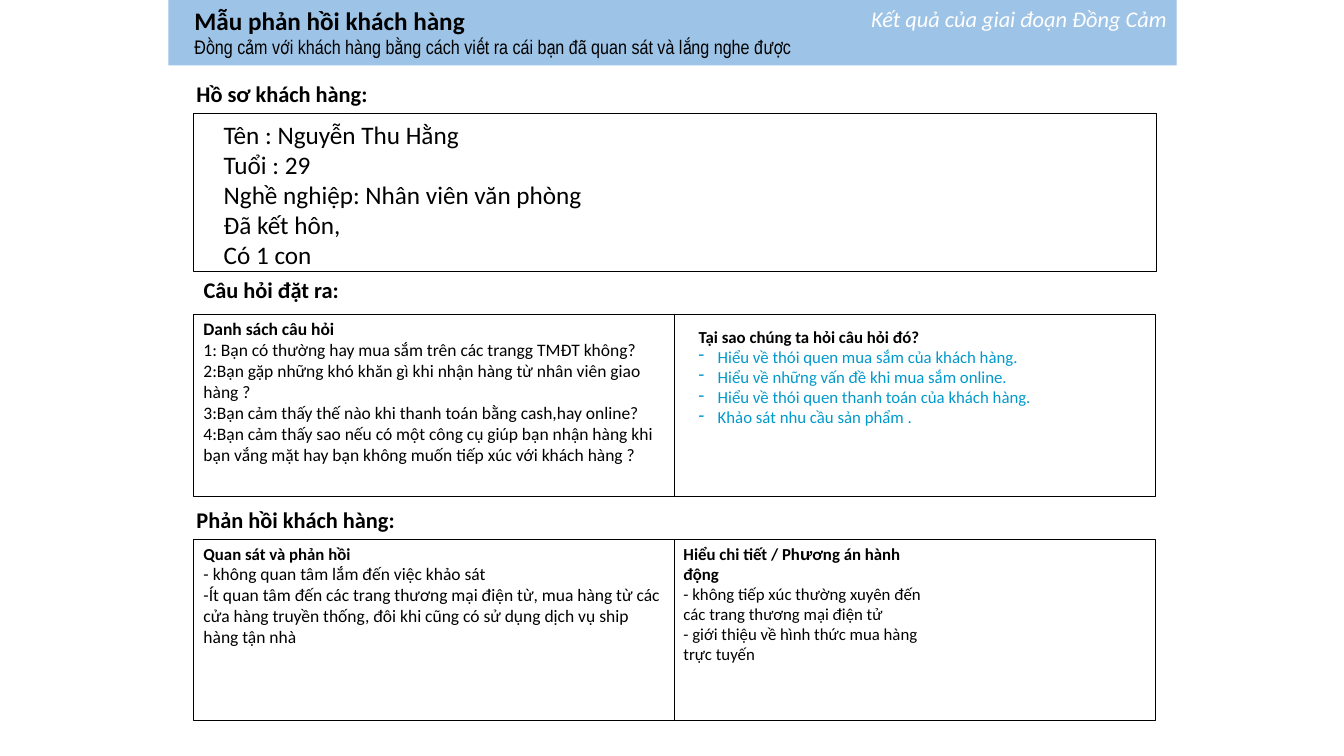
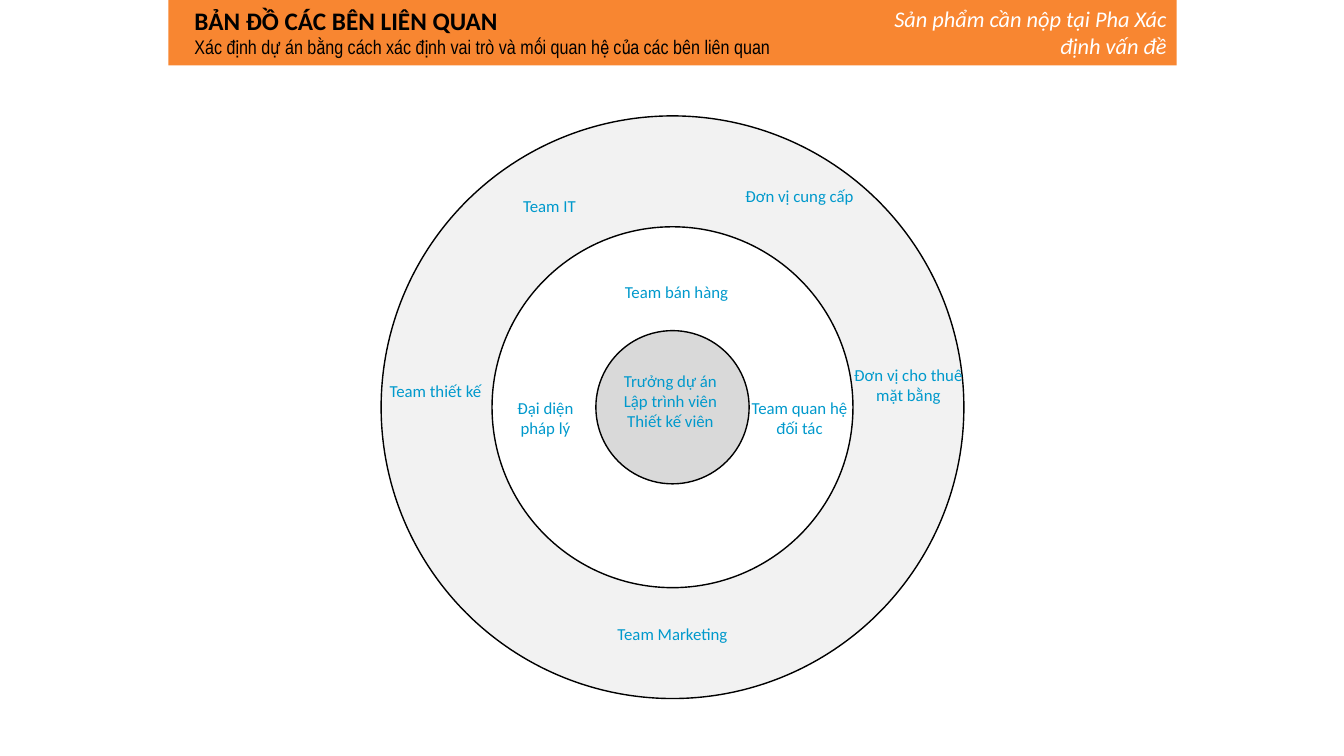
from dataclasses import dataclass

import pptx
import pptx.util
import pptx.dml.color
import pptx.enum.shapes
import pptx.enum.text
import pptx.oxml.ns
from lxml import etree

Inches = pptx.util.Inches
SHAPE = pptx.enum.shapes.MSO_SHAPE
ALIGN = pptx.enum.text.PP_ALIGN


@dataclass(frozen=True)
class Theme:
    font: str = "Calibri"
    narrow_font: str = "Arial Narrow"
    accent_font: str = "Arial"
    ink: str = "000000"
    white: str = "FFFFFF"
    answer: str = "0099CC"
    blue_band: str = "9DC3E6"
    orange_band: str = "F88631"
    outer_ring: str = "F2F2F2"
    core: str = "D9D9D9"
    title: float = 18
    heading: float = 16
    subtitle: float = 14
    body: float = 12.5
    small: float = 12


THEME = Theme()


def rgb(value):
    return pptx.dml.color.RGBColor.from_string(value)


def add_dash(paragraph, indent=0.19):
    """Hang the paragraph behind a dash."""
    properties = paragraph._p.get_or_add_pPr()
    properties.set("marL", str(Inches(indent)))
    properties.set("indent", str(-Inches(indent)))
    dash = etree.SubElement(properties, pptx.oxml.ns.qn("a:buChar"))
    dash.set("char", "-")


def add_text(slide, box, paragraphs, align=ALIGN.LEFT, **defaults):
    """Write paragraphs; each is a string or (string or run list, format)."""
    frame = slide.shapes.add_textbox(*map(Inches, box)).text_frame
    frame.word_wrap = True
    for index, item in enumerate(paragraphs):
        content, own = (item, {}) if isinstance(item, str) else item
        style = {"size": THEME.small, "color": THEME.ink, "font": THEME.font,
                 **defaults, **own}
        paragraph = frame.add_paragraph() if index else frame.paragraphs[0]
        paragraph.alignment = align
        if style.get("dash"):
            add_dash(paragraph)
        runs = [(content, style["font"])] if isinstance(content, str) else content
        for words, font_name in runs:
            run = paragraph.add_run()
            run.text = words
            run.font.name = font_name
            run.font.size = pptx.util.Pt(style["size"])
            run.font.bold = style.get("bold", False)
            run.font.italic = style.get("italic", False)
            run.font.color.rgb = rgb(style["color"])


def add_figure(slide, kind, box, fill=None, line_width=None):
    figure = slide.shapes.add_shape(kind, *map(Inches, box))
    figure.shadow.inherit = False
    if fill:
        figure.fill.solid()
        figure.fill.fore_color.rgb = rgb(fill)
    else:
        figure.fill.background()
    if line_width:
        figure.line.color.rgb = rgb(THEME.ink)
        figure.line.width = pptx.util.Pt(line_width)
    else:
        figure.line.fill.background()


def add_header(slide, box, fill, title, subtitle, stage, stage_width):
    """Coloured band with title, subtitle and the stage at the right."""
    left, top, width, height = box
    add_figure(slide, SHAPE.RECTANGLE, box, fill)
    add_text(slide, (left + 0.16, top, 6.47, height),
             [(title, {"size": THEME.title, "bold": True}),
              (subtitle, {"size": THEME.subtitle, "font": THEME.narrow_font})])
    add_text(slide, (left + width - stage_width, top, stage_width, height),
             [stage], ALIGN.RIGHT, size=THEME.heading, color=THEME.white,
             italic=True)


def add_section(slide, box, heading, heading_at, columns=1):
    """Heading above a row of equal outlined cells; returns the cell lefts."""
    left, top, width, height = box
    add_text(slide, (*heading_at, 2.69, 0.37), [heading],
             size=THEME.heading, bold=True)
    cell_width = width / columns
    lefts = [left + column * cell_width for column in range(columns)]
    for cell_left in lefts:
        add_figure(slide, SHAPE.RECTANGLE, (cell_left, top, cell_width, height),
                   line_width=0.5)
    return lefts


def add_profile(slide, box):
    left, top, width, height = box
    add_section(slide, box, "Hồ sơ khách hàng:", (left - 0.07, top - 0.38))
    add_text(slide, (left + 0.2, top, 3.92, height),
             ["Tên : Nguyễn Thu Hằng",
              "Tuổi : 29",
              "Nghề nghiệp: Nhân viên văn phòng",
              "Đã kết hôn,",
              "Có 1 con"], size=THEME.title)


def add_questions(slide, box):
    left, top, width, height = box
    list_left, reason_left = add_section(
        slide, box, "Câu hỏi đặt ra:", (left, top - 0.43), columns=2)
    add_text(slide, (list_left, top - 0.01, 4.66, height),
             [("Danh sách câu hỏi", {"bold": True}),
              "1: Bạn có thường hay mua sắm trên các trangg TMĐT không?",
              "2:Bạn gặp những khó khăn gì khi nhận hàng từ nhân viên giao hàng ?",
              "3:Bạn cảm thấy thế nào khi thanh toán bằng cash,hay online?",
              "4:Bạn cảm thấy sao nếu có một công cụ giúp bạn nhận hàng khi "
              "bạn vắng mặt hay bạn không muốn tiếp xúc với khách hàng ?"],
             size=THEME.body)
    reasons = ["Hiểu về thói quen mua sắm của khách hàng.",
               "Hiểu về những vấn đề khi mua sắm online.",
               "Hiểu về thói quen thanh toán của khách hàng.",
               "Khảo sát nhu cầu sản phẩm ."]
    add_text(slide, (reason_left + 0.14, top + 0.07, 4.08, 1.11),
             [("Tại sao chúng ta hỏi câu hỏi đó?", {"bold": True})]
             + [(reason, {"color": THEME.answer, "dash": True})
                for reason in reasons])


def add_feedback(slide, box):
    left, top, width, height = box
    seen_left, action_left = add_section(
        slide, box, "Phản hồi khách hàng:", (left - 0.07, top - 0.38), columns=2)
    add_text(slide, (seen_left, top - 0.01, 4.73, 1.35),
             [("Quan sát và phản hồi", {"bold": True, "size": THEME.small}),
              "- không quan tâm lắm đến việc khảo sát",
              "-Ít quan tâm đến các trang thương mại điện từ, mua hàng từ các "
              "cửa hàng truyền thống, đôi khi cũng có sử dụng dịch vụ ship "
              "hàng tận nhà"],
             size=THEME.body)
    action_title = [("Hiểu chi tiết / Ph", THEME.font), ("ư", THEME.accent_font),
                    ("ơng án hành động", THEME.font)]
    add_text(slide, (action_left - 0.01, top - 0.01, 2.69, 1.31),
             [(action_title, {"bold": True}),
              "- không tiếp xúc thường xuyên đến các trang thương mại điện tử",
              "- giới thiệu về hình thức mua hàng trực tuyến"])


def add_stakeholder_map(slide, box):
    """Concentric rings, with labels placed from their shared centre."""
    left, top, size, _ = box
    center_x, center_y = left + size / 2, top + size / 2
    rings = [(size, THEME.outer_ring), (3.58, THEME.white), (1.52, THEME.core)]
    for diameter, fill in rings:
        add_figure(slide, SHAPE.OVAL,
                   (center_x - diameter / 2, center_y - diameter / 2,
                    diameter, diameter), fill, line_width=1)

    # Offset from the centre, then the lines of each label
    stakeholders = [
        (1.26, -2.1, ["Đơn vị cung cấp"]),
        (-2.35, -0.16, ["Team thiết kế"]),
        (2.34, -0.22, ["Đơn vị cho thuê", "mặt bằng"]),
        (0, 2.25, ["Team Marketing"]),
        (0.04, -1.14, ["Team bán hàng"]),
        (1.26, 0.11, ["Team quan hệ", "đối tác"]),
        (-1.26, 0.11, ["Đại diện", "pháp lý"]),
        (-0.02, -0.06, ["Trưởng dự án", "Lập trình viên", "Thiết kế viên"]),
        (-1.22, -2, ["Team IT"]),
    ]
    label_width = 2.87
    for offset_x, offset_y, lines in stakeholders:
        label_height = 0.1 + 0.2 * len(lines)
        add_text(slide, (center_x + offset_x - label_width / 2,
                         center_y + offset_y - label_height / 2,
                         label_width, label_height),
                 lines, ALIGN.CENTER, color=THEME.answer)


def build_feedback_slide(slide):
    add_header(slide, (1.67, 0, 10, 0.65), THEME.blue_band,
               "Mẫu phản hồi khách hàng",
               "Đồng cảm với khách hàng bằng cách viết ra cái bạn đã quan sát "
               "và lắng nghe được",
               "Kết quả của giai đoạn Đồng Cảm", stage_width=3.71)
    add_profile(slide, (1.92, 1.13, 9.55, 1.56))
    add_questions(slide, (1.92, 3.12, 9.54, 1.8))
    add_feedback(slide, (1.92, 5.35, 9.54, 1.8))


def build_stakeholder_slide(slide):
    add_header(slide, (1.67, 0, 10, 0.65), THEME.orange_band,
               "BẢN ĐỒ CÁC BÊN LIÊN QUAN",
               "Xác định dự án bằng cách xác định vai trò và mối quan hệ của "
               "các bên liên quan",
               "Sản phẩm cần nộp tại Pha Xác định vấn đề", stage_width=3.13)
    add_stakeholder_map(slide, (3.78, 1.15, 5.78, 5.78))


def main():
    deck = pptx.Presentation()
    deck.slide_width, deck.slide_height = Inches(13.33), Inches(7.5)
    for build in (build_feedback_slide, build_stakeholder_slide):
        build(deck.slides.add_slide(deck.slide_layouts[6]))
    deck.save("out.pptx")


if __name__ == "__main__":
    main()
